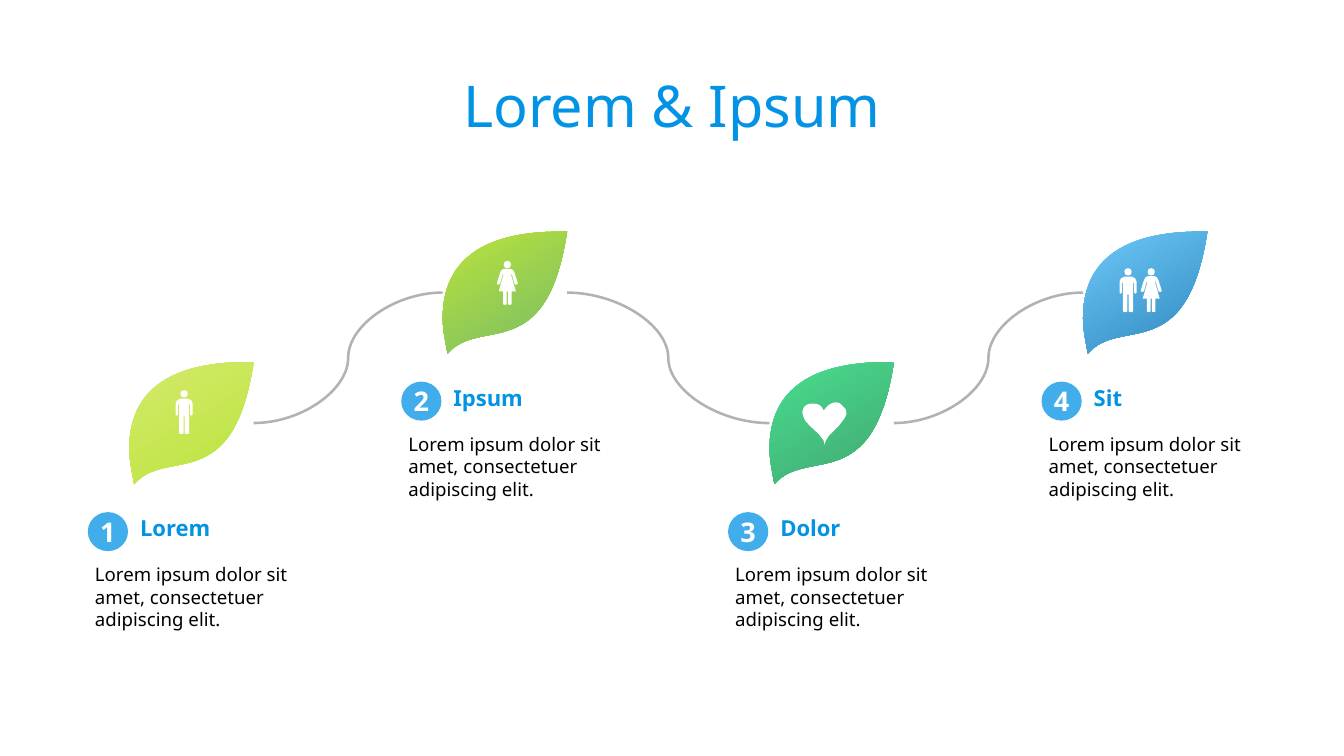
from lxml import etree
from pptx import Presentation
from pptx import util as u
from pptx.dml.color import RGBColor
from pptx.enum import shapes, text
from pptx.oxml.ns import qn

INK = {"blue": "0393E4", "dot": "41AEEB", "line": "B2B2B2",
       "black": "000000", "white": "FFFFFF"}
FORMS = {
    "title": {"size": u.Pt(34), "bold": False, "ink": "blue"},
    "head": {"size": u.Pt(13), "bold": True, "ink": "blue"},
    "body": {"size": u.Pt(11), "bold": False, "ink": "black"},
    "num": {"size": u.Pt(16), "bold": True, "ink": "white"},
}
BODY = "Lorem ipsum dolor sit amet, consectetuer adipiscing elit."

deck = Presentation()
deck.slide_width, deck.slide_height = u.Inches(11.02), u.Inches(6.2)
slide = deck.slides.add_slide(deck.slide_layouts[5])
items = slide.shapes


def mirror(half):
    """Complete a right half that starts and ends on the axis x = 0."""
    whole = list(half)
    for last, part in reversed(list(zip(half, half[1:]))):
        spots = list(zip(part[::2], part[1::2]))[:-1]
        spots = spots[::-1] + [last[-2:]]
        whole.append(tuple(n for x, y in spots for n in (-x, y)))
    return whole


def draw(x, y, loops):
    """Add a borderless outline from loops of pairs (lines) and sextets (curves), in 0.01 inch."""
    pen, parts = None, []
    for loop in loops:
        loop = [[u.Inches((x, y)[n % 2] + v / 100) for n, v in enumerate(part)] for part in loop]
        if pen is None:
            pen = items.build_freeform(*loop[0])
        else:
            pen.move_to(*loop[0])
        pen.add_line_segments([part[-2:] for part in loop[1:]], close=False)
        parts += loop[1:]
    shape = pen.convert_to_shape()
    for step, part in zip(list(shape._element.iter(qn("a:lnTo"))), parts):
        if len(part) == 6:
            step.tag = qn("a:cubicBezTo")
            for n in (0, 1):
                spot = etree.Element(qn("a:pt"), x=str(part[2 * n] - shape.left),
                                     y=str(part[2 * n + 1] - shape.top))
                step.insert(n, spot)
    shape.shadow.inherit = False
    shape.line.fill.background()
    return shape


# Outlines, in hundredths of an inch
leaf = [(4, 100), (31, 69, 85, 111, 102, 0), (96, 0),
        (35, 0, 0, 22, 0, 71), (0, 80, 2, 89, 4, 100)]
heart = [(33, 3), (32, 1, 30, 0, 27, 0), (24, 0, 21, 2, 18, 6), (18, 7, 17, 7, 17, 6),
         (16, 3, 14, 1, 8, 1), (6, 1, 4, 1, 2, 3), (1, 4, 0, 6, 0, 8),
         (0, 9, 0, 10, 1, 12), (1, 14, 4, 17, 7, 20), (11, 24, 14, 26, 15, 28),
         (17, 30, 18, 32, 18, 35), (18, 33, 20, 30, 22, 27), (24, 25, 27, 22, 30, 19),
         (33, 15, 35, 13, 35.5, 11), (36, 11, 36, 10, 36, 9), (36, 6, 35, 4, 33, 3)]
face = mirror([(0, 0), (2, 0, 3, 1, 3, 3), (3, 5, 2, 6, 0, 6)])
suit = mirror([(0, 7), (3, 7), (5, 7, 7, 9, 7, 11), (7, 20), (7, 21, 6.5, 21, 6, 21),
               (5, 21, 5, 21, 5, 20), (5, 12), (4.2, 12), (4.2, 35),
               (4.2, 36, 3.5, 36, 2.5, 36), (1, 36, 0.5, 36, 0.5, 35), (0.5, 21.5), (0, 21.5)])
dress = mirror([(0, 6.5), (2.5, 6.5), (2.5, 6.5, 5, 6.5, 6, 10), (8.5, 18),
                (8.5, 19, 8.5, 19.5, 7.5, 19.5), (7, 19.5, 6, 19.5, 6, 19), (3.7, 11), (3, 11),
                (7, 25), (3.5, 25), (3.5, 35), (3.5, 36, 3, 36, 2, 36),
                (1, 36, 0.5, 36, 0.5, 35), (0.5, 25), (0, 25)])
man, woman = [face, suit], [face, dress]
pair = man + [[tuple(v if n % 2 else v + 19 for n, v in enumerate(part)) for part in loop]
              for loop in woman]

HIGH, LOW = 1.9, 2.97
STEPS = [  # name, left, top, gradient, icon, icon offset
    ("Lorem", 1.06, LOW, ("D4EA6B", "BBE33D"), man, (0.45, 0.23)),
    ("Ipsum", 3.63, HIGH, ("BBE33D", "77BC65"), woman, (0.53, 0.24)),
    ("Dolor", 6.31, LOW, ("49DE8F", "41A671"), [heart], (0.27, 0.33)),
    ("Sit", 8.88, HIGH, ("6FC8FA", "2D88BB"), pair, (0.37, 0.3)),
]

title = items.title
title.left, title.top = 0, u.Inches(0.52)
title.width, title.height = deck.slide_width, u.Inches(0.66)
words = [(title, "Lorem & Ipsum", "title")]

for num, (name, x, y, tints, *_) in enumerate(STEPS, 1):
    fill = draw(x, y, [leaf]).fill
    fill.gradient()
    fill.gradient_angle = 300
    for stop, tint, place in zip(fill.gradient_stops, tints, (0, 1)):
        stop.color.rgb = RGBColor.from_string(tint)
        stop.position = place

    head = items.add_textbox(*map(u.Inches, (x - 0.01, y + 1.2, 1.53, 0.32)))
    body = items.add_textbox(*map(u.Inches, (x - 0.38, y + 1.6, 1.9, 0.65)))
    dot = items.add_shape(shapes.MSO_SHAPE.OVAL,
                          *map(u.Inches, (x - 0.34, y + 1.23, 0.33, 0.32)))
    dot.shadow.inherit = False
    dot.fill.solid()
    dot.fill.fore_color.rgb = RGBColor.from_string(INK["dot"])
    dot.line.fill.background()
    words += [(head, name, "head"), (body, BODY, "body"), (dot, str(num), "num")]

for (_, x, y, *_), (_, next_x, next_y, *_) in zip(STEPS, STEPS[1:]):
    link = items.add_connector(shapes.MSO_CONNECTOR.CURVE,
                               *map(u.Inches, (x + 1.02, y + 0.5, next_x, next_y + 0.5)))
    link.line.color.rgb = RGBColor.from_string(INK["line"])
    link.line.width = u.Pt(1.5)
    etree.SubElement(link._element.spPr, qn("a:effectLst"))

for _, x, y, _, icon, (dx, dy) in STEPS:
    sign = draw(x + dx, y + dy, icon)
    sign.fill.solid()
    sign.fill.fore_color.rgb = RGBColor.from_string(INK["white"])

for shape, line, kind in words:
    frame = shape.text_frame
    frame.text = line
    frame.word_wrap = kind != "num"
    frame.auto_size = text.MSO_AUTO_SIZE.NONE
    frame.vertical_anchor = text.MSO_ANCHOR.MIDDLE if kind == "num" else text.MSO_ANCHOR.TOP
    para = frame.paragraphs[0]
    para.alignment = text.PP_ALIGN.CENTER if kind in ("title", "num") else text.PP_ALIGN.LEFT
    font = para.runs[0].font
    font.name = "Noto Sans"
    for key, value in FORMS[kind].items():
        if key == "ink":
            font.color.rgb = RGBColor.from_string(INK[value])
        else:
            setattr(font, key, value)

deck.save("out.pptx")
